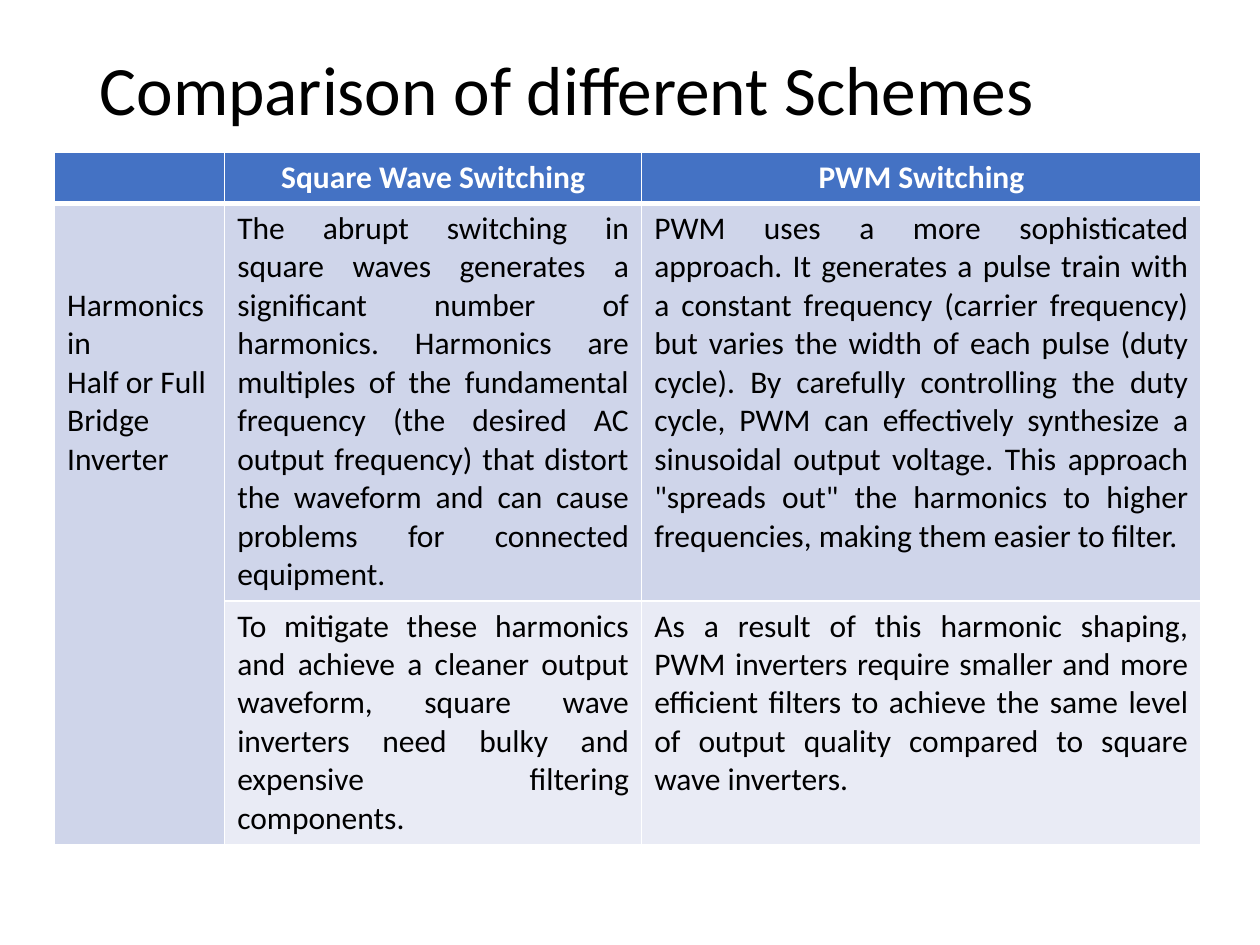
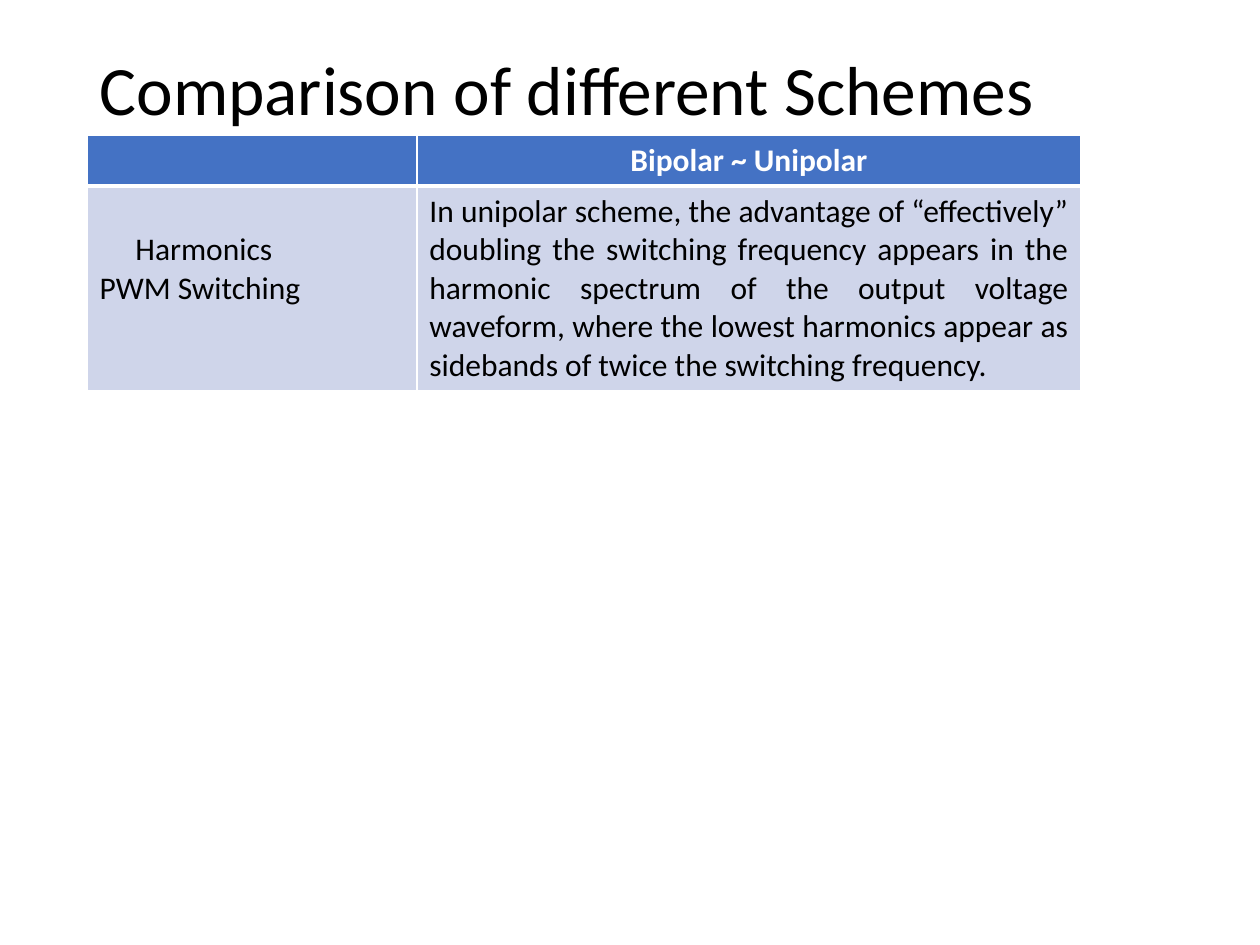
from dataclasses import dataclass

from lxml.etree import SubElement
from pptx import Presentation
from pptx.dml.color import RGBColor as Color
from pptx.enum.text import MSO_ANCHOR as Anchor, MSO_AUTO_SIZE as Fit, PP_ALIGN as Align
from pptx.oxml.ns import qn
from pptx.util import Pt


@dataclass(frozen=True)
class Theme:
    """Colours, type sizes and spacing shared by the slides."""
    font: str = "Calibri"
    title_size: float = 39.6
    text_size: float = 18
    line_height: float = 22
    cell_margin: float = 3.6
    rule: float = 1
    header_rule: float = 3
    black: str = "000000"
    white: str = "FFFFFF"
    header: str = "4472C4"
    bands: tuple = ("CFD5EA", "E9EBF5")


THEME = Theme()
TITLE = "Comparison of different Schemes"
HEADER_HEIGHT = 29.2

SWITCHING_ROWS = [
    ["", "Square Wave Switching", "PWM Switching"],
    [
        "Harmonics in\nHalf or Full Bridge Inverter",
        "The abrupt switching in square waves generates a significant number of "
        "harmonics. Harmonics are multiples of the fundamental frequency (the desired "
        "AC output frequency) that distort the waveform and can cause problems for "
        "connected equipment.",
        "PWM uses a more sophisticated approach. It generates a pulse train with a "
        "constant frequency (carrier frequency) but varies the width of each pulse "
        "(duty cycle). By carefully controlling the duty cycle, PWM can effectively "
        "synthesize a sinusoidal output voltage. This approach \"spreads out\" the "
        "harmonics to higher frequencies, making them easier to filter.",
    ],
    [
        "",
        "To mitigate these harmonics and achieve a cleaner output waveform, square "
        "wave inverters need bulky and expensive filtering components.",
        "As a result of this harmonic shaping, PWM inverters require smaller and more "
        "efficient filters to achieve the same level of output quality compared to "
        "square wave inverters.",
    ],
]

POLARITY_ROWS = [
    ["", "Bipolar ~ Unipolar"],
    [
        "Harmonics\nPWM Switching",
        "In unipolar scheme, the advantage of “effectively” doubling the switching "
        "frequency appears in the harmonic spectrum of the output voltage waveform, "
        "where the lowest harmonics appear as sidebands of twice the switching "
        "frequency.",
    ],
]


def apply_format(target, values):
    """Set each named attribute of the target."""
    for name, value in values.items():
        setattr(target, name, value)


def write_para(para, text, size, color, bold=False, **para_format):
    """Write one formatted span into a paragraph."""
    apply_format(para, para_format)
    if text:
        span = para.add_run()
        span.text = text
        apply_format(span.font, {"name": THEME.font, "size": Pt(size), "bold": bold})
        span.font.color.rgb = Color.from_string(color)


def add_page(deck, title):
    """Add a slide with the shared title style."""
    page = deck.slides.add_slide(deck.slide_layouts[5])
    box = page.shapes.title
    apply_format(box, {"left": Pt(49.68), "top": Pt(28.8),
                       "width": Pt(620.64), "height": Pt(48.24)})
    apply_format(box.text_frame, {"vertical_anchor": Anchor.MIDDLE,
                                  "auto_size": Fit.NONE, "word_wrap": True})
    write_para(box.text_frame.paragraphs[0], title, THEME.title_size, THEME.black,
               alignment=Align.LEFT, line_spacing=0.9)
    return page


def add_borders(cell, top, bottom):
    """Draw white rules around a cell."""
    properties = cell._tc.get_or_add_tcPr()
    widths = {"a:lnL": THEME.rule, "a:lnR": THEME.rule, "a:lnT": top, "a:lnB": bottom}
    for tag, width in widths.items():
        line = SubElement(properties, qn(tag), w=str(Pt(width)))
        SubElement(SubElement(line, qn("a:solidFill")), qn("a:srgbClr"), val=THEME.white)


def fill_cell(cell, text, row, column):
    """Style one cell by its place in the table and write its text."""
    is_header = row == 0
    add_borders(cell,
                THEME.header_rule if row == 1 else THEME.rule,
                THEME.header_rule if is_header else THEME.rule)
    cell.fill.solid()
    fill = THEME.header if is_header else THEME.bands[(row - 1) % 2]
    cell.fill.fore_color.rgb = Color.from_string(fill)
    if is_header:
        alignment = Align.CENTER
    else:
        alignment = Align.JUSTIFY if column else Align.LEFT
    for index, line in enumerate(text.split("\n")):
        frame = cell.text_frame
        para = frame.add_paragraph() if index else frame.paragraphs[0]
        write_para(para, line, THEME.text_size,
                   THEME.white if is_header else THEME.black,
                   bold=is_header, alignment=alignment)


def add_comparison(page, rows, left, top, widths, line_counts, label_drop):
    """Add a table whose row label starts label_drop lines down."""
    heights = [HEADER_HEIGHT] + [
        count * THEME.line_height + 2 * THEME.cell_margin for count in line_counts]
    table = page.shapes.add_table(len(rows), len(widths), Pt(left), Pt(top),
                                  Pt(sum(widths)), Pt(sum(heights))).table
    for column, width in zip(table.columns, widths):
        column.width = Pt(width)
    for index, (height, texts) in enumerate(zip(heights, rows)):
        table.rows[index].height = Pt(height)
        for column, text in enumerate(texts):
            fill_cell(table.cell(index, column), text, index, column)
    label = table.cell(1, 0)
    label.margin_top = Pt(THEME.cell_margin + label_drop * THEME.line_height)
    if len(rows) > 2:
        label.merge(table.cell(len(rows) - 1, 0))
    return table


def main():
    """Build both comparison slides and save the deck."""
    deck = Presentation()
    apply_format(deck, {"slide_width": Pt(720), "slide_height": Pt(540)})
    add_comparison(add_page(deck, TITLE), SWITCHING_ROWS, 31.2, 86.9,
                   [97.2, 238.3, 319.7], [10, 6], label_drop=2)
    polarity = add_comparison(add_page(deck, TITLE), POLARITY_ROWS, 49.68, 77.04,
                              [188.5, 379.7], [5], label_drop=1)
    first_line = polarity.cell(1, 0).text_frame.paragraphs[0]
    first_line._p.get_or_add_pPr().set("indent", str(Pt(20.5)))
    deck.save("out.pptx")


if __name__ == "__main__":
    main()
